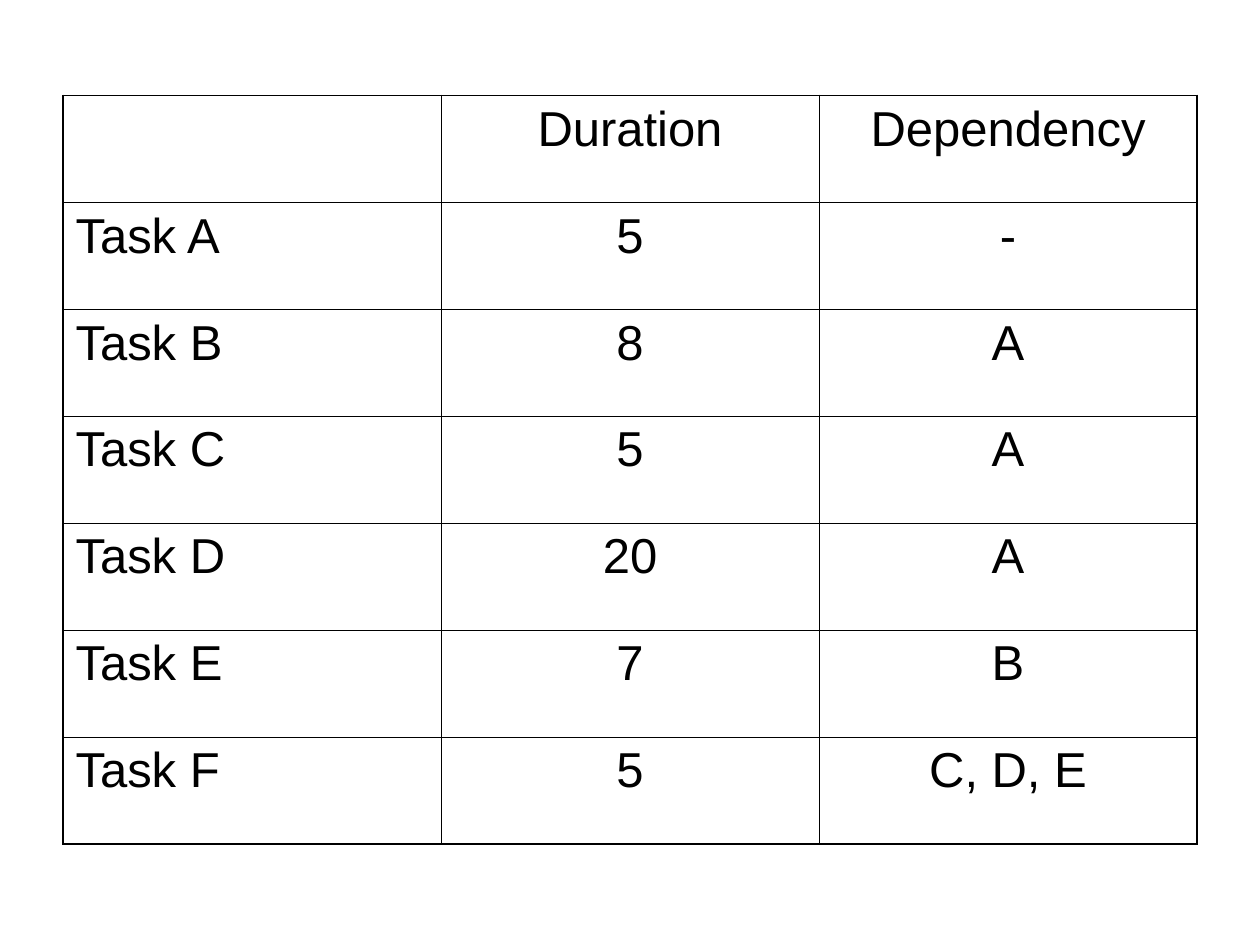
from lxml import etree
from pptx import Presentation
from pptx.dml.color import RGBColor
from pptx.enum import text
from pptx.oxml import ns
from pptx.util import Pt

COLORS = {"ink": "000000", "paper": "FFFFFF"}
FONT, FONT_SIZE = "Arial", Pt(28)
OUTER, INNER = Pt(1.08), Pt(0.45)
COL_WIDTH, ROW_HEIGHT = Pt(216), Pt(61.14)
LEFT, TOP = Pt(36), Pt(54.6)

ROWS = [
    ("", "Duration", "Dependency"),
    ("Task A", "5", "-"),
    ("Task B", "8", "A"),
    ("Task C", "5", "A"),
    ("Task D", "20", "A"),
    ("Task E", "7", "B"),
    ("Task F", "5", "C, D, E"),
]


def add_border(cell, side, width):
    """Draw one side of a cell: L, R, T or B, in that order."""
    tc_pr = cell._tc.get_or_add_tcPr()
    ln = etree.SubElement(tc_pr, ns.qn(f"a:ln{side}"), w=str(int(width)))
    fill = etree.SubElement(ln, ns.qn("a:solidFill"))
    etree.SubElement(fill, ns.qn("a:srgbClr"), val=COLORS["ink"])


def write_cell(cell, words, align):
    p = cell.text_frame.paragraphs[0]
    p.alignment = align
    p.space_before = Pt(7)
    p.font.name = FONT
    p.font.size = FONT_SIZE
    p.font.color.rgb = RGBColor.from_string(COLORS["ink"])
    if words:
        p.add_run().text = words


def add_task_table(s):
    n_rows, n_cols = len(ROWS), len(ROWS[0])
    table = s.shapes.add_table(n_rows, n_cols, LEFT, TOP,
                               COL_WIDTH * n_cols, ROW_HEIGHT * n_rows).table
    table.first_row = table.horz_banding = False
    for col in table.columns:
        col.width = COL_WIDTH
    for i, row in enumerate(ROWS):
        table.rows[i].height = ROW_HEIGHT
        for j, words in enumerate(row):
            cell = table.cell(i, j)
            align = text.PP_ALIGN.CENTER if j else text.PP_ALIGN.LEFT
            write_cell(cell, words, align)
            # Heavier lines around the outside of the table
            on_edge = {"L": j == 0, "R": j == n_cols - 1,
                       "T": i == 0, "B": i == n_rows - 1}
            for side, outer in on_edge.items():
                add_border(cell, side, OUTER if outer else INNER)
            cell.fill.background()


def main():
    prs = Presentation()
    prs.slide_width, prs.slide_height = Pt(720), Pt(540)
    s = prs.slides.add_slide(prs.slide_layouts[6])

    # Background
    s.background.fill.solid()
    s.background.fill.fore_color.rgb = RGBColor.from_string(COLORS["paper"])

    # Tasks with their durations and dependencies
    add_task_table(s)
    prs.save("out.pptx")


if __name__ == "__main__":
    main()
